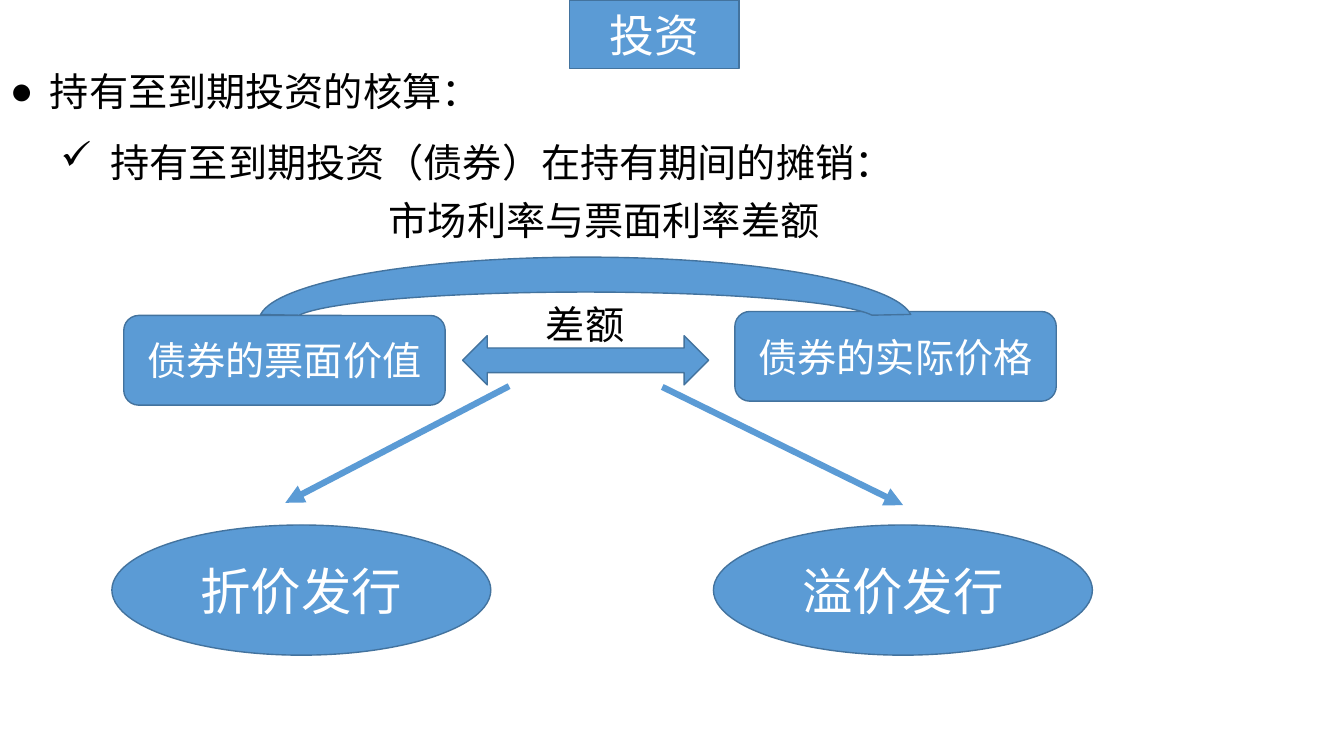
"""Build the slide on amortising held-to-maturity investments."""
from lxml.etree import SubElement
from pptx import Presentation
from pptx.dml.color import RGBColor
from pptx.enum.shapes import MSO_CONNECTOR, MSO_SHAPE
from pptx.enum.text import MSO_ANCHOR, PP_ALIGN
from pptx.oxml.ns import qn
from pptx.util import Cm, Pt

HUES = {"fill": "5B9BD5", "edge": "43739E", "light": "FFFFFF", "dark": "000000"}


def write(para, text, size, hue):
    run = para.add_run()
    run.text = text
    run.font.size = Pt(size)
    run.font.name = "Calibri"
    run.font.color.rgb = RGBColor.from_string(HUES[hue])


def paint(shape, text="", size=28):
    shape.fill.solid()
    shape.fill.fore_color.rgb = RGBColor.from_string(HUES["fill"])
    shape.line.color.rgb = RGBColor.from_string(HUES["edge"])
    shape.line.width = Pt(1)
    shape.shadow.inherit = False
    if text:
        frame = shape.text_frame
        frame.word_wrap = True
        frame.vertical_anchor = MSO_ANCHOR.MIDDLE
        frame.paragraphs[0].alignment = PP_ALIGN.CENTER
        write(frame.paragraphs[0], text, size, "light")


deck = Presentation()
deck.slide_width, deck.slide_height = Cm(33.87), Cm(19.05)
slide = deck.slides.add_slide(deck.slide_layouts[5])
shapes = slide.shapes

title = shapes.title
title.left, title.top, title.width, title.height = Cm(14.35), Cm(0), Cm(4.27), Cm(1.73)
form = SubElement(title.element.spPr, qn("a:prstGeom"), prst="roundRect")
SubElement(form, qn("a:avLst"))
paint(title, "投资", 32)

body = shapes.add_textbox(Cm(0), Cm(0.99), Cm(33.87), Cm(3.84)).text_frame
body.word_wrap = True
points = [
    (" 持有至到期投资的核算：", 0, 0.79, 0.79, "Arial", "●"),
    ("持有至到期投资（债券）在持有期间的摊销：", 1, 2.54, 1.27, "Wingdings", "ü"),
]
for i, (text, level, left, hang, font, mark) in enumerate(points):
    para = body.add_paragraph() if i else body.paragraphs[0]
    para.level = level
    para.line_spacing = 1.5
    props = para._p.get_or_add_pPr()
    props.set("marL", str(Cm(left)))
    props.set("indent", str(-Cm(hang)))
    SubElement(props, qn("a:buFont"), typeface=font)
    SubElement(props, qn("a:buChar"), char=mark)
    write(para, text, 28, "dark")

for text, left, top in [("债券的票面价值", 3.12, 7.95), ("债券的实际价格", 18.52, 7.85)]:
    box = shapes.add_shape(MSO_SHAPE.ROUNDED_RECTANGLE, Cm(left), Cm(top), Cm(8.1), Cm(2.26))
    paint(box, text)

arrow = shapes.add_shape(MSO_SHAPE.LEFT_RIGHT_ARROW, Cm(11.66), Cm(8.46), Cm(6.2), Cm(1.24))
paint(arrow)

for x1, y1, x2, y2 in [(12.83, 9.73, 7.19, 12.67), (16.69, 9.75, 22.76, 12.73)]:
    link = shapes.add_connector(MSO_CONNECTOR.STRAIGHT, Cm(x1), Cm(y1), Cm(x2), Cm(y2))
    link.line.color.rgb = RGBColor.from_string(HUES["fill"])
    link.line.width = Pt(4.5)
    SubElement(link.line._get_or_add_ln(), qn("a:tailEnd"), type="triangle")
    SubElement(link._element.spPr, qn("a:effectLst"))

for text, left in [("折价发行", 2.82), ("溢价发行", 17.98)]:
    oval = shapes.add_shape(MSO_SHAPE.OVAL, Cm(left), Cm(13.23), Cm(9.55), Cm(3.28))
    paint(oval, text, 36)

arc = shapes.add_shape(MSO_SHAPE.BLOCK_ARC, Cm(6.53), Cm(6.48), Cm(16.46), Cm(3.2))
for i, value in enumerate([108.645, 215.348, 0.275]):
    arc.adjustments[i] = value
paint(arc)

labels = [("差额", 13.51, 7.44, 2.51), ("市场利率与票面利率差额", 9.55, 4.83, 11.48)]
for text, left, top, width in labels:
    label = shapes.add_textbox(Cm(left), Cm(top), Cm(width), Cm(1.45)).text_frame
    label.word_wrap = False
    write(label.paragraphs[0], text, 28, "dark")

deck.save("out.pptx")
